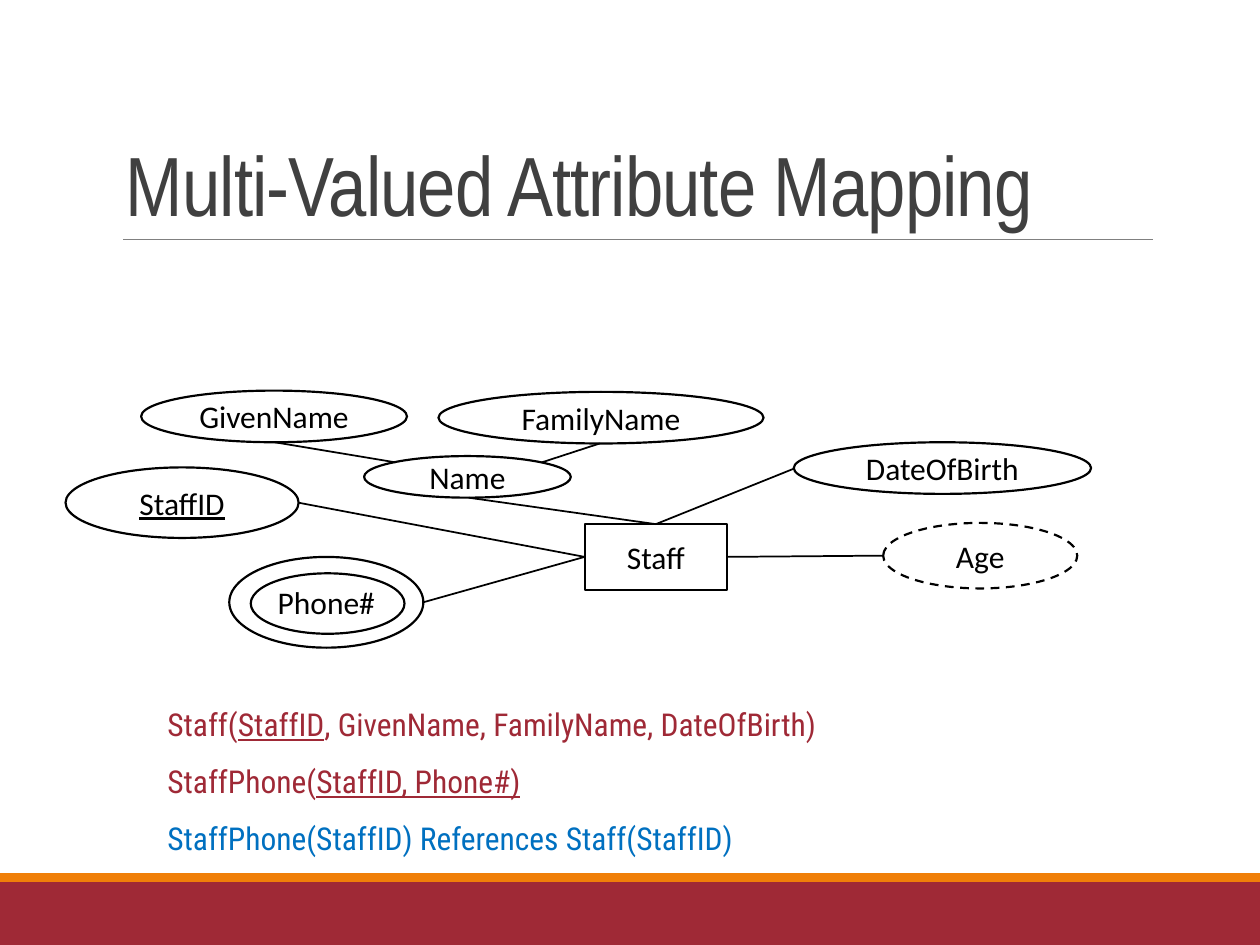
from lxml import etree
from pptx import Presentation
from pptx.dml.color import RGBColor
from pptx.enum import dml, shapes, text
from pptx.oxml.ns import qn
from pptx.util import Inches, Pt

RED = RGBColor(0x9F, 0x29, 0x36)
ORANGE = RGBColor(0xF0, 0x7F, 0x09)
BLUE = RGBColor(0x00, 0x70, 0xC0)
DARK = RGBColor(0x40, 0x40, 0x40)
GRAY = RGBColor(0x80, 0x80, 0x80)
BLACK = RGBColor(0, 0, 0)
WHITE = RGBColor(255, 255, 255)

RECT = shapes.MSO_SHAPE.RECTANGLE
OVAL = shapes.MSO_SHAPE.OVAL
LEFT, TOP, RIGHT = 1, 0, 3


def style(font, name, size, color):
    font.name, font.size = name, Pt(size)
    font.color.rgb = color


def add_box(slide, kind, box, fill=None, line=None):
    shape = slide.shapes.add_shape(kind, *map(Inches, box))
    shape.shadow.inherit = False
    if fill is None:
        shape.fill.background()
    else:
        shape.fill.solid()
        shape.fill.fore_color.rgb = fill
    if line is None:
        shape.line.fill.background()
    else:
        shape.line.color.rgb = line
        shape.line.width = Pt(1.25)
    return shape


def add_node(slide, label, box, kind=OVAL, fill=WHITE, key=False, dash=False):
    node = add_box(slide, kind, box, fill, BLACK)
    if dash:
        node.line.dash_style = dml.MSO_LINE.DASH
    frame = node.text_frame
    frame.word_wrap = False
    frame.vertical_anchor = text.MSO_ANCHOR.MIDDLE
    frame.text = label
    para = frame.paragraphs[0]
    para.alignment = text.PP_ALIGN.CENTER
    for run in para.runs:
        style(run.font, "Calibri", 18, BLACK)
        run.font.underline = key
    return node


def add_line(slide, start, end, color=BLACK, width=1):
    line = slide.shapes.add_connector(
        shapes.MSO_CONNECTOR.STRAIGHT, *map(Inches, start + end))
    line.line.color.rgb = color
    line.line.width = Pt(width)
    etree.SubElement(line._element.spPr, qn("a:effectLst"))
    return line


def add_text(slide, box):
    frame = slide.shapes.add_textbox(*map(Inches, box)).text_frame
    frame.word_wrap = True
    return frame


def add_frame(slide):
    # Footer bands, title and rule
    add_box(slide, RECT, (0, 7, 10, 0.5), RED)
    add_box(slide, RECT, (0, 6.93, 10, 0.07), ORANGE)
    add_line(slide, (0.98, 1.9), (9.15, 1.9), GRAY, 0.5)
    frame = add_text(slide, (0.9, 0.31, 8.25, 1.59))
    frame.vertical_anchor = text.MSO_ANCHOR.BOTTOM
    frame.text = "Multi-Valued Attribute Mapping"
    para = frame.paragraphs[0]
    para.line_spacing = 0.85
    font = para.runs[0].font
    style(font, "Arial Narrow", 48, DARK)
    font._element.set("spc", "-50")


def add_diagram(slide):
    # Entity and its attributes
    staff = add_node(slide, "Staff", (4.64, 4.16, 1.13, 0.52), RECT)
    add_node(slide, "StaffID", (0.52, 3.71, 1.85, 0.56), key=True)
    add_node(slide, "DateOfBirth", (6.3, 3.51, 2.36, 0.41))
    add_node(slide, "GivenName", (1.12, 3.1, 2.11, 0.41))
    add_node(slide, "FamilyName", (3.48, 3.11, 2.58, 0.41))
    add_node(slide, "Name", (2.89, 3.62, 1.64, 0.33))
    add_node(slide, "Age", (7.01, 4.15, 1.54, 0.52), dash=True)

    # Double oval for the multi-valued attribute
    add_box(slide, OVAL, (1.99, 4.55, 1.22, 0.48), WHITE, BLACK)
    add_node(slide, "Phone#", (1.82, 4.42, 1.54, 0.72), fill=None)

    # Parts of the composite name
    add_line(slide, (2.18, 3.51), (3.14, 3.67))
    add_line(slide, (4.76, 3.52), (4.3, 3.67))

    # Attributes joined to the entity
    for start, side in (((3.72, 3.95), TOP), ((6.3, 3.72), TOP),
                        ((2.37, 3.99), LEFT), ((3.36, 4.78), LEFT),
                        ((7.01, 4.41), RIGHT)):
        add_line(slide, start, start).end_connect(staff, side)


def add_schema(slide):
    # Relations: (text, underlined) pieces and a colour for each line
    rows = (
        (RED, (("Staff(", False), ("StaffID", True),
               (", GivenName, FamilyName, DateOfBirth)", False))),
        (RED, (("StaffPhone(", False), ("StaffID, Phone#)", True))),
        (BLUE, (("StaffPhone(StaffID) References Staff(StaffID)", False),)),
    )
    frame = add_text(slide, (1.23, 5.4, 6.13, 1.4))
    for i, (color, parts) in enumerate(rows):
        para = frame.add_paragraph() if i else frame.paragraphs[0]
        para.line_spacing = 1.5
        for words, key in parts:
            run = para.add_run()
            run.text = words
            style(run.font, "Roboto Condensed", 18, color)
            run.font.underline = key


def main():
    deck = Presentation()
    deck.slide_width, deck.slide_height = Inches(10), Inches(7.5)
    slide = deck.slides.add_slide(deck.slide_layouts[6])
    add_frame(slide)
    add_diagram(slide)
    add_schema(slide)
    deck.save("out.pptx")


if __name__ == "__main__":
    main()
